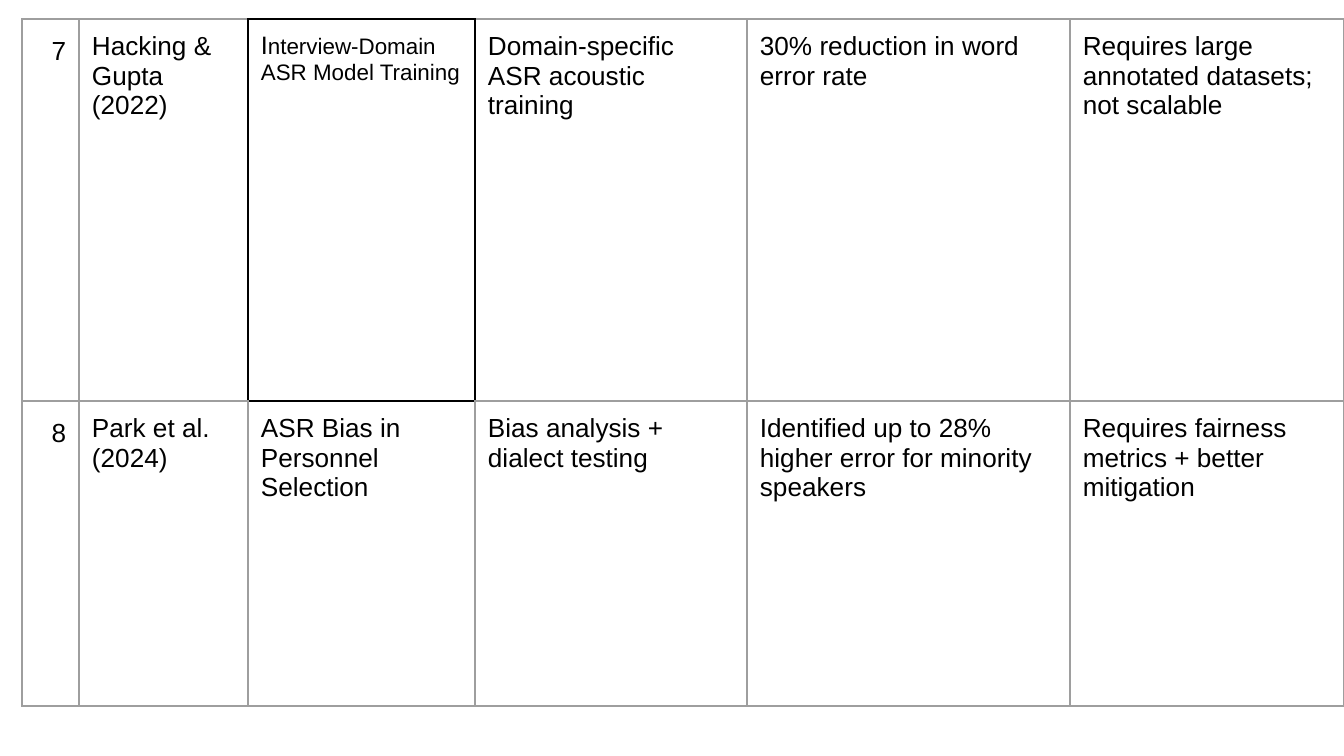
from dataclasses import dataclass

from lxml.etree import SubElement
from pptx import Presentation
from pptx.dml.color import RGBColor
from pptx.enum.text import PP_ALIGN
from pptx.oxml.ns import qn
from pptx.table import Table, _Cell
from pptx.util import Emu, Pt

PX_PER_INCH = 134.4


def px(length: int) -> Emu:
    return Emu(round(length * 914400 / PX_PER_INCH))


@dataclass(frozen=True)
class Theme:
    font: str = "Arial"
    text: str = "000000"
    grid: str = "9E9E9E"
    accent_grid: str = "000000"
    grid_width: float = 0.75
    body: float = 14
    initial: float = 13.5
    small: float = 12


THEME = Theme()


@dataclass(frozen=True)
class Span:
    text: str
    size: float = THEME.body


@dataclass(frozen=True)
class Study:
    number: str
    authors: str
    title: tuple[Span, ...]
    method: str
    finding: str
    limitation: str

    def entries(self) -> list[tuple[Span, ...]]:
        """Give the spans of each cell, from left to right."""
        return [
            (Span(self.number),),
            (Span(self.authors),),
            self.title,
            (Span(self.method),),
            (Span(self.finding),),
            (Span(self.limitation),),
        ]


STUDIES = [
    Study(
        "7",
        "Hacking & Gupta (2022)",
        (
            Span("I", THEME.initial),
            Span("nterview-Domain ASR Model Training", THEME.small),
        ),
        "Domain-specific ASR acoustic training",
        "30% reduction in word error rate",
        "Requires large annotated datasets; not scalable",
    ),
    Study(
        "8",
        "Park et al. (2024)",
        (Span("ASR Bias in Personnel Selection"),),
        "Bias analysis + dialect testing",
        "Identified up to 28% higher error for minority speakers",
        "Requires fairness metrics + better mitigation",
    ),
]

PAGE_WIDTH, PAGE_HEIGHT = 1344, 756
TABLE_LEFT, TABLE_TOP = 22, 19
COLUMN_WIDTHS = [57, 169, 227, 272, 323, 274]
ROW_HEIGHTS = [382, 305]
CELL_INSET = 13
NUMBER_COLUMN = 0
ACCENT_CELL = (0, 2)
# Each border element with the row and column step to the cell beyond it
SIDES = {"a:lnL": (0, -1), "a:lnR": (0, 1), "a:lnT": (-1, 0), "a:lnB": (1, 0)}


def draw_borders(cell: _Cell, row: int, column: int) -> None:
    """Colour an edge as accent when either cell that shares it is the accent cell."""
    properties = cell._tc.get_or_add_tcPr()
    for tag, (row_step, column_step) in SIDES.items():
        sharing = {(row, column), (row + row_step, column + column_step)}
        colour = THEME.accent_grid if ACCENT_CELL in sharing else THEME.grid
        line = SubElement(properties, qn(tag), w=str(Pt(THEME.grid_width)))
        fill = SubElement(line, qn("a:solidFill"))
        SubElement(fill, qn("a:srgbClr"), val=colour)
        SubElement(line, qn("a:prstDash"), val="solid")


def write_cell(cell: _Cell, spans: tuple[Span, ...], is_number: bool) -> None:
    cell.margin_left = cell.margin_right = px(CELL_INSET)
    cell.margin_top = cell.margin_bottom = px(CELL_INSET)
    para = cell.text_frame.paragraphs[0]
    para.alignment = PP_ALIGN.RIGHT if is_number else PP_ALIGN.LEFT
    para.line_spacing = 1.15 if is_number else 1.0
    for span in spans:
        run = para.add_run()
        run.text = span.text
        run.font.name = THEME.font
        run.font.size = Pt(span.size)
        run.font.color.rgb = RGBColor.from_string(THEME.text)


def fill_table(table: Table, studies: list[Study]) -> None:
    table.first_row = False
    table.horz_banding = False
    for column, width in zip(table.columns, COLUMN_WIDTHS):
        column.width = px(width)
    for row, height in zip(table.rows, ROW_HEIGHTS):
        row.height = px(height)
    for row_index, study in enumerate(studies):
        for column_index, spans in enumerate(study.entries()):
            cell = table.cell(row_index, column_index)
            write_cell(cell, spans, column_index == NUMBER_COLUMN)
            draw_borders(cell, row_index, column_index)
            cell.fill.background()


def main() -> None:
    deck = Presentation()
    deck.slide_width, deck.slide_height = px(PAGE_WIDTH), px(PAGE_HEIGHT)
    page = deck.slides.add_slide(deck.slide_layouts[6])
    frame = page.shapes.add_table(
        len(ROW_HEIGHTS), len(COLUMN_WIDTHS),
        px(TABLE_LEFT), px(TABLE_TOP),
        px(sum(COLUMN_WIDTHS)), px(sum(ROW_HEIGHTS)),
    )
    fill_table(frame.table, STUDIES)
    deck.save("out.pptx")


if __name__ == "__main__":
    main()
